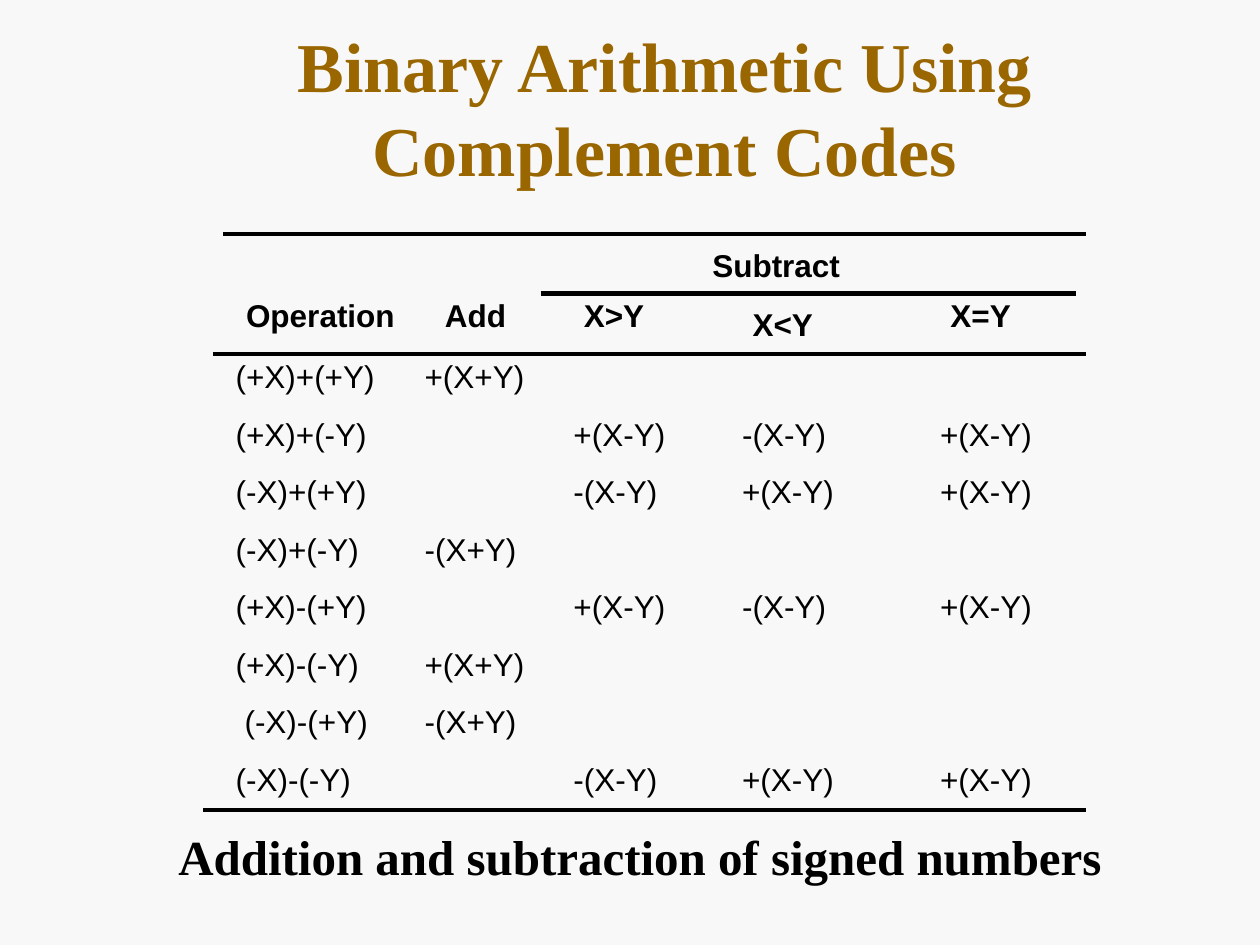
import pptx
import pptx.dml.color
import pptx.enum.shapes
import pptx.enum.text
import pptx.oxml.ns
import pptx.util
from lxml import etree
from pptx.util import Cm

COLORS = {"background": "F8F8F8", "title": "996600", "ink": "000000"}
NO_GRID_STYLE = "{2D5ABB26-0587-4C30-8999-92F81FD0307C}"


def write_text(frame, text, font="Arial", size=18, bold=False, color="ink",
               align=pptx.enum.text.PP_ALIGN.LEFT, spacing=None):
    frame.word_wrap = True
    paragraph = frame.paragraphs[0]
    paragraph.alignment = align
    paragraph.line_spacing = spacing
    run = paragraph.add_run()
    run.text = text
    run.font.name = font
    run.font.size = pptx.util.Pt(size)
    run.font.bold = bold
    run.font.color.rgb = pptx.dml.color.RGBColor.from_string(COLORS[color])


presentation = pptx.Presentation()
presentation.slide_width = Cm(25.4)
presentation.slide_height = Cm(19.05)
slide = presentation.slides.add_slide(presentation.slide_layouts[6])
slide.background.fill.solid()
slide.background.fill.fore_color.rgb = pptx.dml.color.RGBColor.from_string(COLORS["background"])

center = pptx.enum.text.PP_ALIGN.CENTER
title = slide.shapes.add_textbox(Cm(3.1), Cm(0.56), Cm(20.6), Cm(3.18))
title.text_frame.vertical_anchor = pptx.enum.text.MSO_ANCHOR.MIDDLE
write_text(title.text_frame, "Binary Arithmetic Using Complement Codes",
           font="Times New Roman", size=40, bold=True, color="title",
           align=center, spacing=pptx.util.Pt(48))

operations = [
    ("(+X)+(+Y)", "+(X+Y)", "", "", ""),
    ("(+X)+(-Y)", "", "+(X-Y)", "-(X-Y)", "+(X-Y)"),
    ("(-X)+(+Y)", "", "-(X-Y)", "+(X-Y)", "+(X-Y)"),
    ("(-X)+(-Y)", "-(X+Y)", "", "", ""),
    ("(+X)-(+Y)", "", "+(X-Y)", "-(X-Y)", "+(X-Y)"),
    ("(+X)-(-Y)", "+(X+Y)", "", "", ""),
    ("(-X)-(+Y)", "-(X+Y)", "", "", ""),
    ("(-X)-(-Y)", "", "-(X-Y)", "+(X-Y)", "+(X-Y)"),
]
rows = [("", "", "Subtract", "", ""), ("Operation", "Add", "X>Y", "X<Y", "X=Y")] + operations
column_widths = [3.81, 3, 3.4, 3.99, 3]
row_heights = [1.31, 1] + [1.16] * len(operations)
left_margins = {"Subtract": 3.05, "Add": 0.66, "(-X)-(+Y)": 0.43}
top_margins = {"Subtract": 0.3, "X<Y": 0.18}

table_shape = slide.shapes.add_table(len(rows), len(column_widths), Cm(4.5), Cm(4.72),
                                     Cm(sum(column_widths)), Cm(sum(row_heights)))
table = table_shape.table
table.first_row = False
table.horz_banding = False
table_shape._element.find(".//" + pptx.oxml.ns.qn("a:tableStyleId")).text = NO_GRID_STYLE
for column, width in zip(table.columns, column_widths):
    column.width = Cm(width)
for row, height in zip(table.rows, row_heights):
    row.height = Cm(height)
table.cell(0, 2).merge(table.cell(0, 4))

for row_index, row_texts in enumerate(rows):
    is_header = row_index < 2
    for column_index, text in enumerate(row_texts):
        cell = table.cell(row_index, column_index)
        cell.fill.background()
        cell.margin_right = cell.margin_bottom = 0
        cell.margin_left = Cm(left_margins.get(text, 0.46 if is_header else 0.25))
        cell.margin_top = Cm(top_margins.get(text, 0 if is_header else 0.23))
        if text:
            write_text(cell.text_frame, text, bold=is_header)

for left, right, height in [(4.5, 21.9, 4.72), (10.9, 21.7, 5.92),
                            (4.3, 21.9, 7.13), (4.1, 21.9, 16.33)]:
    rule = slide.shapes.add_connector(pptx.enum.shapes.MSO_CONNECTOR.STRAIGHT,
                                      Cm(left), Cm(height), Cm(right), Cm(height))
    rule.line.width = pptx.util.Pt(2.5)
    rule.line.color.rgb = pptx.dml.color.RGBColor.from_string(COLORS["ink"])
    etree.SubElement(rule._element.spPr, pptx.oxml.ns.qn("a:effectLst"))

caption = slide.shapes.add_textbox(Cm(3.1), Cm(16.54), Cm(19.6), Cm(1.45))
write_text(caption.text_frame, "Addition and subtraction of signed numbers",
           font="Times New Roman", size=28, bold=True, align=center)

presentation.save("out.pptx")
